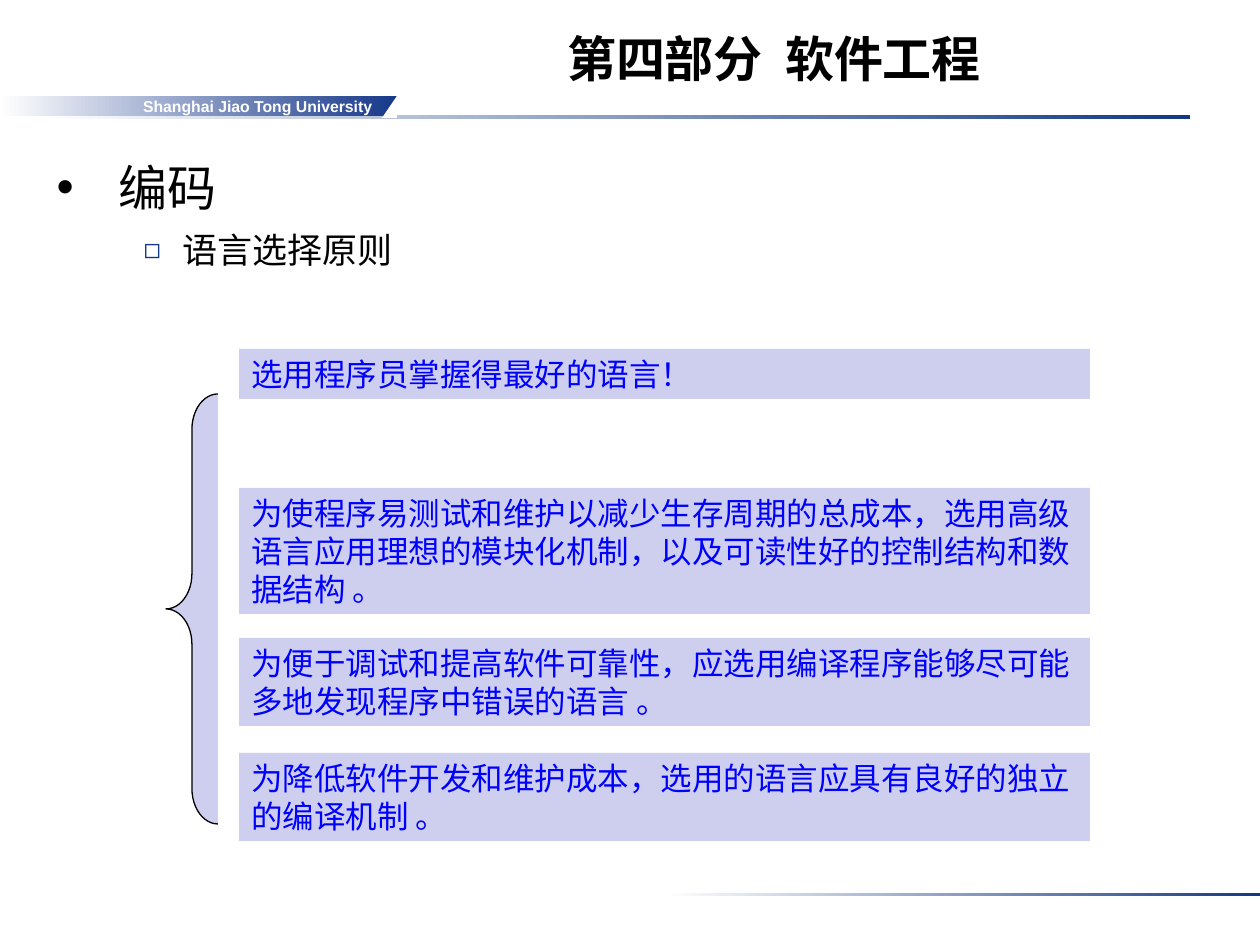
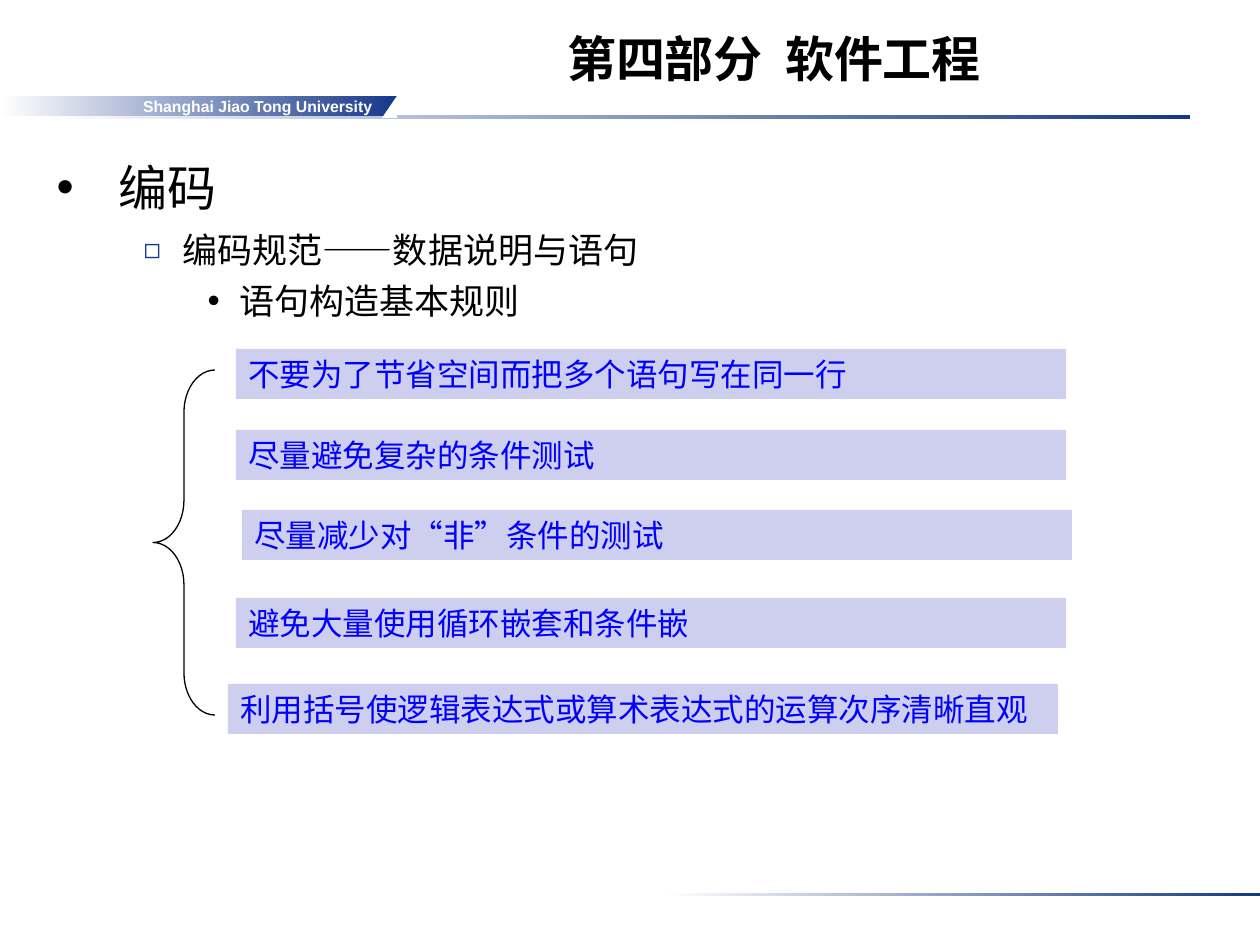
"""Build two lecture slides on choosing a language and writing statements."""
import pptx
import pptx.dml.color
import pptx.enum.shapes
import pptx.enum.text
import pptx.oxml.ns
import pptx.util
from lxml import etree

EMU_PER_PX = 914400 / 126
LATIN_FONT = "Arial"
CHINESE_FONT = "Noto Sans CJK SC"
BLACK, WHITE, TEXT_BLUE = "000000", "FFFFFF", "0000FF"
RULE_BLUE, BANNER_BLUE, LAVENDER = "133984", "16388A", "CECEEF"
TITLE = "第四部分  软件工程"
UNIVERSITY = "Shanghai Jiao Tong University"
SHAPES = pptx.enum.shapes.MSO_SHAPE
ALIGN = pptx.enum.text.PP_ALIGN
ANCHOR = pptx.enum.text.MSO_ANCHOR
AUTO_SIZE = pptx.enum.text.MSO_AUTO_SIZE

LEVELS = [
    dict(left=62, hang=62, size=28, bullet="•", color=BLACK, scale=100, before=0, line=1.1),
    dict(left=126, hang=39, size=20, bullet="◻", color=BANNER_BLUE, scale=80, before=5, line=1.1),
    dict(left=183, hang=32, size=20, bullet="•", color=BLACK, scale=100, before=5, line=1.0),
]


def px(length):
    return pptx.util.Emu(round(length * EMU_PER_PX))


def rgb(color):
    return pptx.dml.color.RGBColor.from_string(color)


def add_element(parent, tag, **attributes):
    return etree.SubElement(parent, pptx.oxml.ns.qn(tag), attributes)


class Deck:
    def __init__(self):
        self.presentation = pptx.Presentation()
        self.presentation.slide_width = px(1260)
        self.presentation.slide_height = px(945)
        self.slide = None

    def start_slide(self, topics):
        self.slide = self.presentation.slides.add_slide(self.presentation.slide_layouts[1])
        self.add_furniture()
        self.fill_title()
        self.fill_topics(topics)

    def format_text(self, paragraph, size, color, latin=CHINESE_FONT, bold=False):
        for run in paragraph.runs:
            run.font.size = pptx.util.Pt(size)
            run.font.bold = bold
            run.font.color.rgb = rgb(color)
            run.font.name = latin
            add_element(run.font._element, "a:ea", typeface=CHINESE_FONT)

    def place(self, shape, left, top, width, height):
        shape.left, shape.top = px(left), px(top)
        shape.width, shape.height = px(width), px(height)

    def add_shape(self, kind, box, fill=None):
        shape = self.slide.shapes.add_shape(kind, *map(px, box))
        shape.shadow.inherit = False
        shape.line.fill.background()
        if fill:
            shape.fill.solid()
            shape.fill.fore_color.rgb = rgb(fill)
        else:
            shape.fill.background()
        return shape

    def add_fading_bar(self, box, color):
        bar = self.add_shape(SHAPES.RECTANGLE, box)
        bar.fill.gradient()
        bar.fill.gradient_angle = 0
        for stop, position, stop_color in zip(bar.fill.gradient_stops, (0, 1), (WHITE, color)):
            stop.position = position
            stop.color.rgb = rgb(stop_color)
        return bar

    def add_furniture(self):
        self.add_fading_bar((39, 115, 1151, 4), RULE_BLUE)
        self.add_fading_bar((665, 893, 595, 3), RULE_BLUE)
        banner = self.add_fading_bar((0, 96, 397, 20), BANNER_BLUE)
        frame = banner.text_frame
        frame.text = UNIVERSITY
        frame.word_wrap = False
        frame.margin_right = px(25)
        frame.vertical_anchor = ANCHOR.MIDDLE
        frame.paragraphs[0].alignment = ALIGN.RIGHT
        self.format_text(frame.paragraphs[0], 9, WHITE, LATIN_FONT, True)
        notch = self.add_shape(SHAPES.RIGHT_TRIANGLE, (382, 96, 15, 22), WHITE)
        notch._element.spPr.xfrm.set("flipH", "1")

    def fill_title(self):
        title = self.slide.shapes.title
        self.place(title, 326, 0, 896, 94)
        frame = title.text_frame
        frame.text = TITLE
        frame.auto_size = AUTO_SIZE.NONE
        frame.vertical_anchor = ANCHOR.BOTTOM
        frame.paragraphs[0].alignment = ALIGN.CENTER
        self.format_text(frame.paragraphs[0], 28, BLACK, LATIN_FONT, True)

    def fill_topics(self, topics):
        body = self.slide.placeholders[1]
        self.place(body, 44, 145, 1166, 718)
        frame = body.text_frame
        frame.text = "\n".join(topics)
        frame.auto_size = AUTO_SIZE.NONE
        for level, paragraph in enumerate(frame.paragraphs):
            style = LEVELS[level]
            paragraph.level = level
            self.add_bullet(paragraph, style)
            paragraph.line_spacing = style["line"]
            paragraph.space_before = pptx.util.Pt(style["before"])
            self.format_text(paragraph, style["size"], BLACK)

    def add_bullet(self, paragraph, style):
        properties = paragraph._p.get_or_add_pPr()
        properties.set("marL", str(px(style["left"])))
        properties.set("indent", str(-px(style["hang"])))
        color = add_element(properties, "a:buClr")
        add_element(color, "a:srgbClr", val=style["color"])
        add_element(properties, "a:buSzPct", val=str(style["scale"] * 1000))
        add_element(properties, "a:buFont", typeface=LATIN_FONT)
        add_element(properties, "a:buChar", char=style["bullet"])

    def add_rule_box(self, text, left, top, width, height, latin=CHINESE_FONT):
        box = self.add_shape(SHAPES.RECTANGLE, (left, top, width, height), LAVENDER)
        frame = box.text_frame
        frame.text = text
        frame.word_wrap = True
        frame.auto_size = AUTO_SIZE.SHAPE_TO_FIT_TEXT
        frame.vertical_anchor = ANCHOR.TOP
        frame.paragraphs[0].alignment = ALIGN.LEFT
        self.format_text(frame.paragraphs[0], 18, TEXT_BLUE, latin)

    def add_brace(self, box, fill=None):
        brace = self.add_shape(SHAPES.LEFT_BRACE, box, fill)
        brace.adjustments[0] = 0.68
        brace.line.color.rgb = rgb(BLACK)
        brace.line.width = pptx.util.Pt(0.75)


def main():
    deck = Deck()

    deck.start_slide(["编码", "语言选择原则"])
    principles = [
        ("选用程序员掌握得最好的语言！", 349, 50),
        ("为使程序易测试和维护以减少生存周期的总成本，选用高级语言应用理想的模块化机制，"
         "以及可读性好的控制结构和数据结构 。", 488, 126),
        ("为便于调试和提高软件可靠性，应选用编译程序能够尽可能多地发现程序中错误的语言 。", 638, 88),
        ("为降低软件开发和维护成本，选用的语言应具有良好的独立的编译机制 。", 753, 88),
    ]
    for text, top, height in principles:
        deck.add_rule_box(text, 239, top, 851, height)
    deck.add_brace((166, 394, 52, 430), LAVENDER)

    deck.start_slide(["编码", "编码规范——数据说明与语句", "语句构造基本规则"])
    statement_rules = [
        ("不要为了节省空间而把多个语句写在同一行", 236, 349),
        ("尽量避免复杂的条件测试", 236, 430),
        ("尽量减少对“非”条件的测试", 242, 510),
        ("避免大量使用循环嵌套和条件嵌", 236, 598),
        ("利用括号使逻辑表达式或算术表达式的运算次序清晰直观", 228, 684),
    ]
    for text, left, top in statement_rules:
        deck.add_rule_box(text, left, top, 830, 50, LATIN_FONT)
    deck.add_brace((153, 370, 62, 345))

    deck.presentation.save("out.pptx")


if __name__ == "__main__":
    main()
